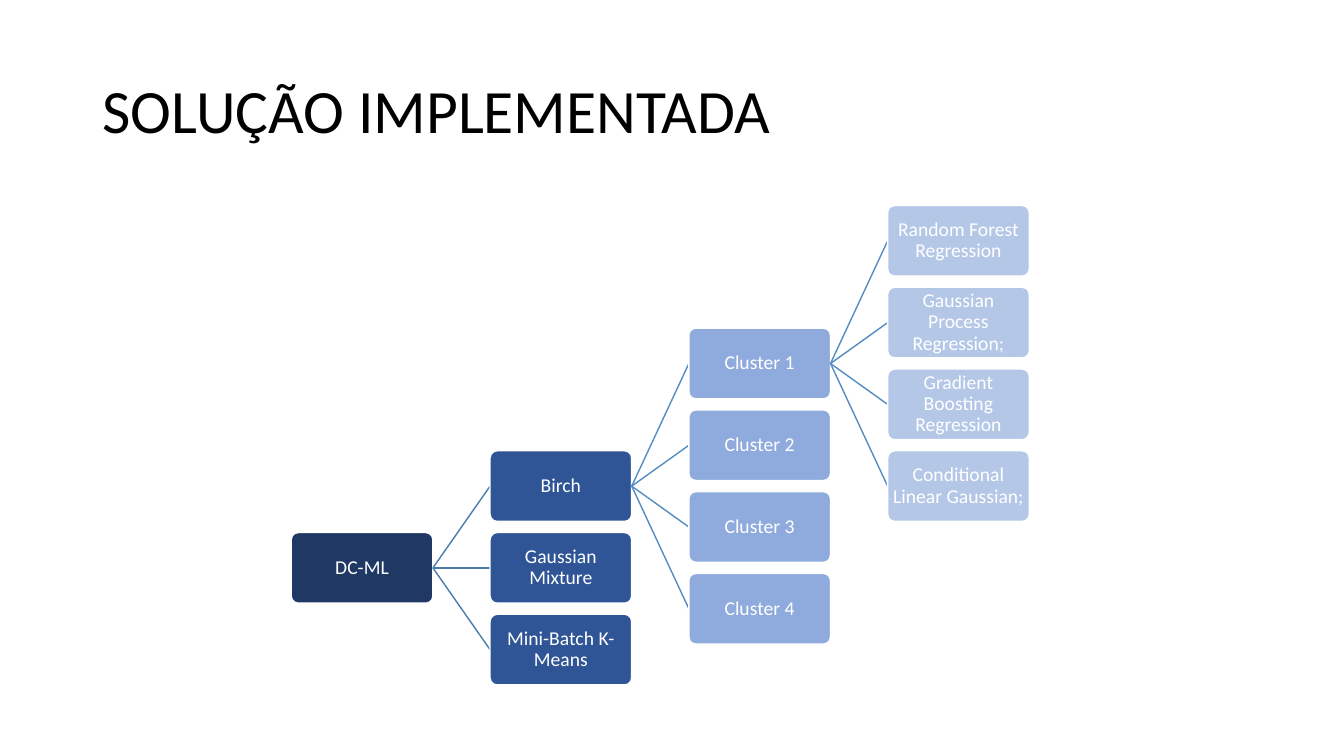
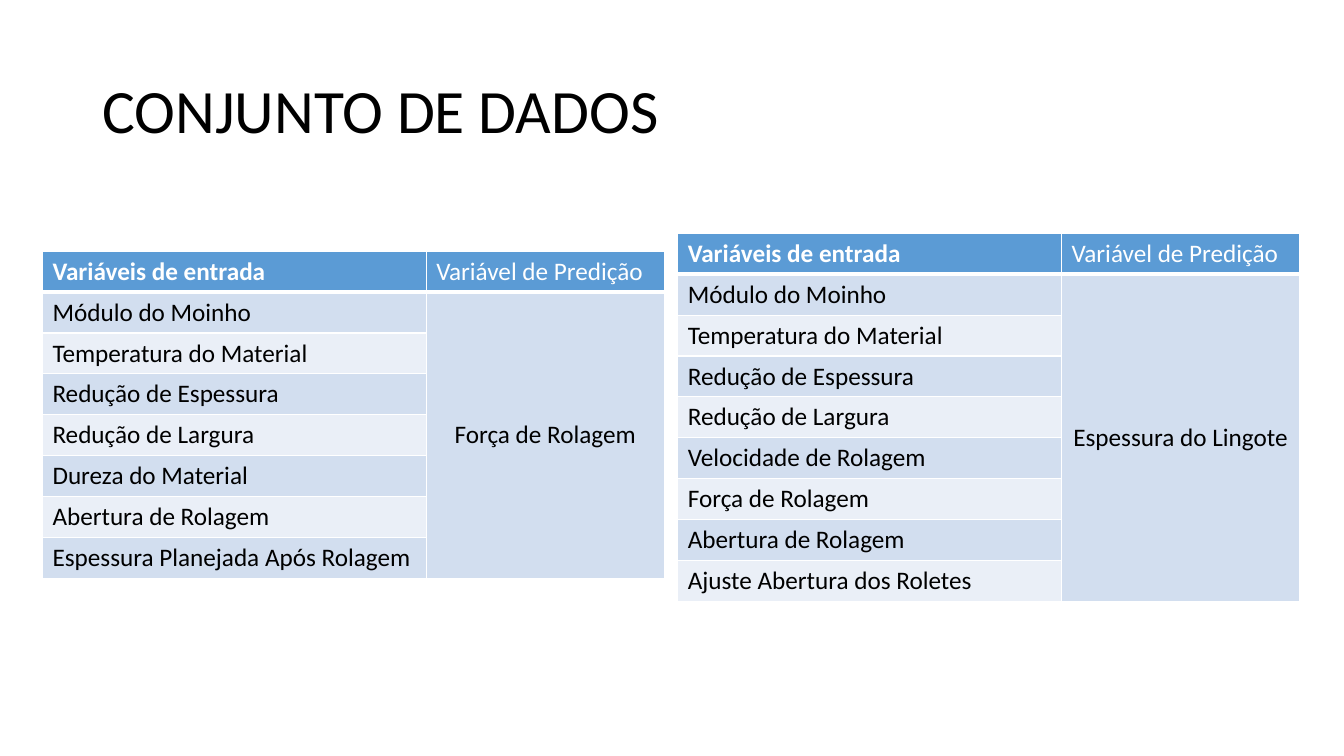
from pptx import Presentation
from pptx.dml.color import RGBColor
from pptx.enum.shapes import MSO_CONNECTOR as Line, MSO_SHAPE as Shape
from pptx.enum.text import MSO_ANCHOR as Anchor, MSO_AUTO_SIZE as AutoSize, PP_ALIGN as Align
from pptx.oxml.ns import qn
from pptx.util import Cm, Pt
from lxml.etree import SubElement

# Shared style
FONT = "Calibri"
WHITE, BLACK = "FFFFFF", "000000"
LEVEL_FILLS = ["203864", "2F5597", "8FAADC", "B4C7E7"]
BRANCH_COLOURS = ["497CAB", "538DC1", "538DC1"]
HEADER_FILL, BAND_FILLS = "5B9BD5", ["D2DEEF", "EAEFF7"]
TITLE_BOX = (2.33, 1.01, 29.21, 3.68)

# Tree measures in cm
NODE_W, NODE_H = 3.57, 1.78
LEVEL_STEP, SIBLING_STEP = 5.01, 2.06

# Table measures in cm
COLUMN_WIDTHS, ROW_H = (9.67, 6.0), 1.03


def colour(hex_string):
    return RGBColor.from_string(hex_string)


def style_text(paragraph, size, hex_string, align=Align.LEFT, spacing=1.0, bold=False):
    font = paragraph.font
    font.name, font.size, font.bold = FONT, Pt(size), bold
    font.color.rgb = colour(hex_string)
    paragraph.alignment, paragraph.line_spacing = align, spacing


def titled_slide(deck, heading):
    slide = deck.slides.add_slide(deck.slide_layouts[5])
    title = slide.shapes.title
    title.left, title.top, title.width, title.height = map(Cm, TITLE_BOX)
    frame = title.text_frame
    frame.text = heading
    frame.auto_size, frame.vertical_anchor = AutoSize.NONE, Anchor.MIDDLE
    style_text(frame.paragraphs[0], 44, BLACK, spacing=0.9)
    return slide


# Tree of methods
def add_branch(slide, start, end, hex_string):
    branch = slide.shapes.add_connector(Line.STRAIGHT, *map(Cm, start + end))
    branch.line.color.rgb, branch.line.width = colour(hex_string), Pt(1)
    SubElement(branch.element.spPr, qn("a:effectLst"))


def add_node(slide, left, top, label, level):
    node = slide.shapes.add_shape(Shape.ROUNDED_RECTANGLE, *map(Cm, (left, top, NODE_W, NODE_H)))
    node.adjustments[0] = 0.1
    node.shadow.inherit = False
    node.fill.solid()
    node.fill.fore_color.rgb = colour(LEVEL_FILLS[level])
    node.line.color.rgb, node.line.width = colour(WHITE), Pt(1)
    frame = node.text_frame
    frame.word_wrap, frame.vertical_anchor = True, Anchor.MIDDLE
    frame.margin_left = frame.margin_right = frame.margin_top = frame.margin_bottom = Cm(0.03)
    frame.text = label
    style_text(frame.paragraphs[0], 14, WHITE, Align.CENTER, spacing=0.9)


def add_tree(slide, left, top, tree, level=0):
    """Draw a node, then its children centred on it one level to the right."""
    label, children = tree
    add_node(slide, left, top, label, level)
    child_left = left + LEVEL_STEP
    first_top = top - (len(children) - 1) * SIBLING_STEP / 2
    for index, child in enumerate(children):
        child_top = first_top + index * SIBLING_STEP
        add_branch(slide, (left + NODE_W, top + NODE_H / 2),
                   (child_left, child_top + NODE_H / 2), BRANCH_COLOURS[level])
        add_tree(slide, child_left, child_top, child, level + 1)


# Tables of variables
def add_borders(cell, top=1, bottom=1):
    properties = cell._tc.get_or_add_tcPr()
    for side, points in (("L", 1), ("R", 1), ("T", top), ("B", bottom)):
        border = SubElement(properties, qn(f"a:ln{side}"), w=str(Pt(points)))
        fill = SubElement(border, qn("a:solidFill"))
        SubElement(fill, qn("a:srgbClr"), val=WHITE)


def fill_cell(cell, row, text=""):
    header = row == 0
    add_borders(cell, top=3 if row == 1 else 1, bottom=3 if header else 1)
    cell.fill.solid()
    cell.fill.fore_color.rgb = colour(HEADER_FILL if header else BAND_FILLS[(row - 1) % 2])
    cell.text = text
    style_text(cell.text_frame.paragraphs[0], 18, WHITE if header else BLACK, bold=header)


def add_variables(slide, left, top, inputs, target):
    rows = len(inputs) + 1
    box = (left, top, sum(COLUMN_WIDTHS), rows * ROW_H)
    table = slide.shapes.add_table(rows, 2, *map(Cm, box)).table
    table.horz_banding = False
    for column, width in zip(table.columns, COLUMN_WIDTHS):
        column.width = Cm(width)
    for index, name in enumerate(["Variáveis de entrada"] + inputs):
        table.rows[index].height = Cm(ROW_H)
        fill_cell(table.cell(index, 0), index, name)
        fill_cell(table.cell(index, 1), index)
    table.cell(0, 1).text = "Variável de Predição"
    target_cell = table.cell(1, 1)
    target_cell.merge(table.cell(rows - 1, 1))
    target_cell.text = target
    target_cell.vertical_anchor = Anchor.MIDDLE
    target_cell.text_frame.paragraphs[0].alignment = Align.CENTER


# Content
REGRESSIONS = [(name, []) for name in (
    "Random Forest Regression", "Gaussian Process Regression;",
    "Gradient Boosting Regression", "Conditional Linear Gaussian;")]
CLUSTERS = [(f"Cluster {number}", REGRESSIONS if number == 1 else []) for number in range(1, 5)]
METHODS = ("DC-ML", [("Birch", CLUSTERS), ("Gaussian Mixture", []), ("Mini-Batch K-Means", [])])

COMMON_INPUTS = ["Módulo do Moinho", "Temperatura do Material",
                 "Redução de Espessura", "Redução de Largura"]
FORCE_INPUTS = COMMON_INPUTS + ["Dureza do Material", "Abertura de Rolagem",
                                "Espessura Planejada Após Rolagem"]
THICKNESS_INPUTS = COMMON_INPUTS + ["Velocidade de Rolagem", "Força de Rolagem",
                                    "Abertura de Rolagem", "Ajuste Abertura dos Roletes"]

deck = Presentation()
deck.slide_width, deck.slide_height = Cm(33.87), Cm(19.05)

solution = titled_slide(deck, "SOLUÇÃO IMPLEMENTADA")
add_tree(solution, 7.34, 13.42, METHODS)

dataset = titled_slide(deck, "CONJUNTO DE DADOS")
add_variables(dataset, 1.07, 6.33, FORCE_INPUTS, "Força de Rolagem")
add_variables(dataset, 17.08, 5.88, THICKNESS_INPUTS, "Espessura do Lingote")

deck.save("out.pptx")
